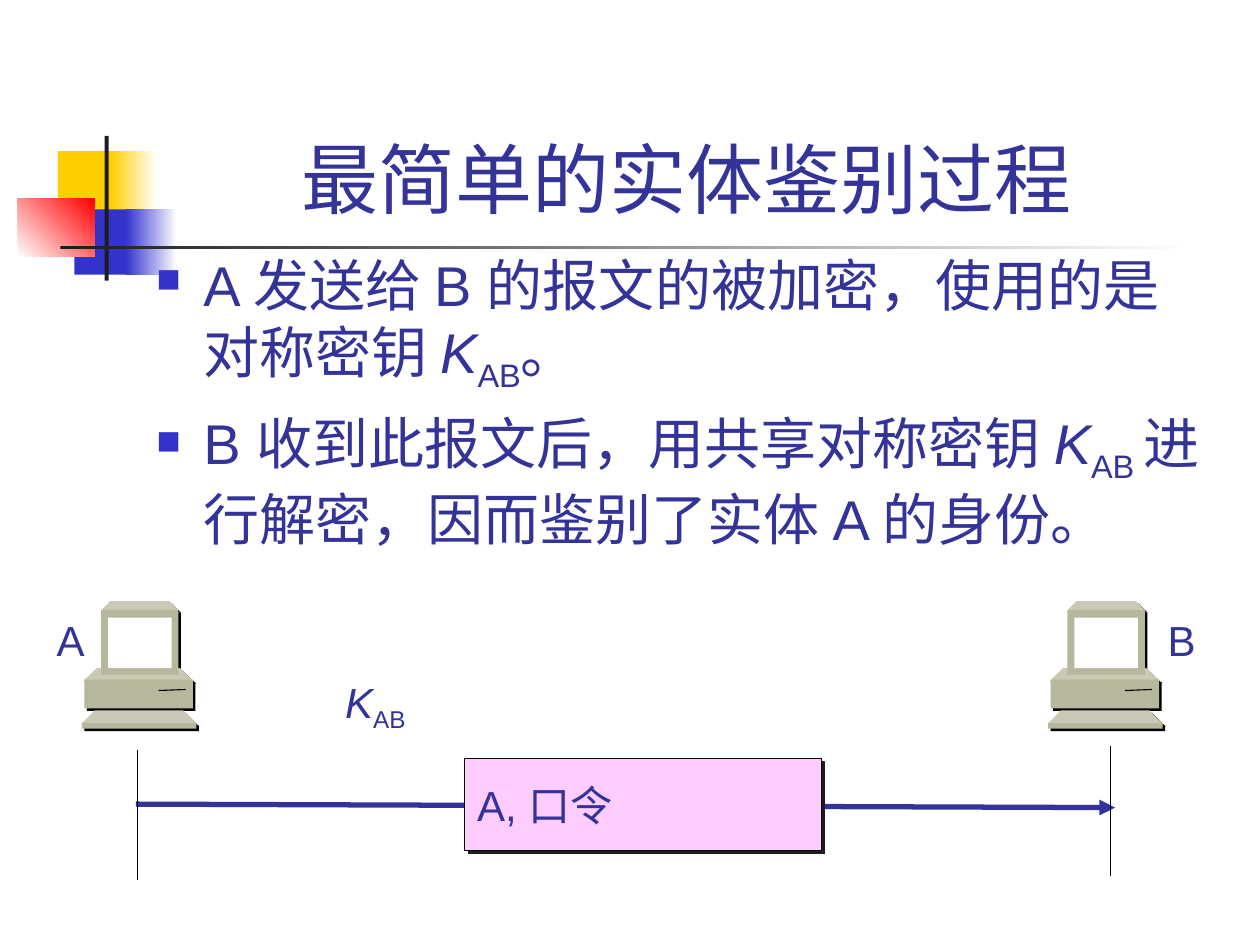
from lxml import etree
from pptx import Presentation
from pptx.dml.color import RGBColor
from pptx.enum.shapes import MSO_CONNECTOR, MSO_SHAPE
from pptx.enum.text import MSO_ANCHOR, MSO_AUTO_SIZE, PP_ALIGN
from pptx.oxml.ns import qn
from pptx.util import Cm, Pt

RECTANGLE = MSO_SHAPE.RECTANGLE
STRAIGHT = MSO_CONNECTOR.STRAIGHT
BOTTOM, MIDDLE = MSO_ANCHOR.BOTTOM, MSO_ANCHOR.MIDDLE
CENTER, LEFT = PP_ALIGN.CENTER, PP_ALIGN.LEFT
NO_AUTOFIT, GROW = MSO_AUTO_SIZE.NONE, MSO_AUTO_SIZE.SHAPE_TO_FIT_TEXT

FONT = "Arial"
INK, BLUE, BLACK, WHITE, CHARCOAL = "333399", "3333CC", "000000", "FFFFFF", "1C1C1C"
YELLOW, RED, PINK = "FFCF01", "FF0000", "FFCCFF"
LIGHT_CASE, DARK_CASE = "C9C9B6", "B7B79D"
KEY = [("K", "italic"), ("AB", "sub")]

# Left, top, width, height, first colour, last colour, angle
ORNAMENT = [
    (1.17, 3.05, 1.22, 1.32, YELLOW, None, 0),
    (2.24, 3.05, 0.91, 1.32, YELLOW, WHITE, 0),
    (1.5, 4.22, 1.17, 1.32, BLUE, None, 0),
    (2.54, 4.22, 1.02, 1.32, BLUE, WHITE, 0),
    (0.36, 4.01, 1.55, 1.17, WHITE, RED, 45),
    (2.11, 2.74, 0.08, 2.92, CHARCOAL, None, 0),
    (1.22, 4.95, 22.86, 0.08, CHARCOAL, WHITE, 0),
]

# Left, top, width, height, slant of the sides, colour
COMPUTER = [
    (0.05, 1.35, 2.22, 0.26, 0.27, LIGHT_CASE),
    (0.41, 0, 1.56, 0.18, 0.18, LIGHT_CASE),
    (0.41, 0.18, 1.56, 1.3, 0, DARK_CASE),
    (0.07, 1.58, 2.19, 0.58, 0, DARK_CASE),
    (0, 2.2, 2.34, 0.28, 0.28, LIGHT_CASE),
    (0.02, 2.46, 2.31, 0.11, 0, DARK_CASE),
]


def rgb(hex_color):
    """Return the colour for a hex string."""
    return RGBColor.from_string(hex_color)


def add_block(shapes, left, top, width, height, color, end_color=None, angle=0):
    """Add a borderless rectangle with a plain or gradient fill."""
    block = shapes.add_shape(RECTANGLE, Cm(left), Cm(top), Cm(width), Cm(height))
    block.shadow.inherit = False
    block.line.fill.background()
    if end_color:
        block.fill.gradient()
        block.fill.gradient_angle = angle
        for stop, stop_color in zip(block.fill.gradient_stops, (color, end_color)):
            stop.color.rgb = rgb(stop_color)
    else:
        block.fill.solid()
        block.fill.fore_color.rgb = rgb(color)
    return block


def add_slanted_top(shapes, left, top, width, height, slant, color):
    """Add a trapezoid that is narrower at the top."""
    right, bottom = left + width, top + height
    builder = shapes.build_freeform(Cm(left), Cm(bottom))
    corners = [(left + slant, top), (right - slant, top), (right, bottom)]
    builder.add_line_segments([(Cm(x), Cm(y)) for x, y in corners], close=True)
    surface = builder.convert_to_shape()
    surface.shadow.inherit = False
    surface.fill.solid()
    surface.fill.fore_color.rgb = rgb(color)
    surface.line.fill.background()


def add_line(shapes, start, end, color, width, arrow=False):
    """Add a straight line, with an arrowhead at its end if wanted."""
    points = [Cm(value) for value in (*start, *end)]
    line = shapes.add_connector(STRAIGHT, *points)
    line.line.color.rgb = rgb(color)
    line.line.width = Pt(width)
    if arrow:
        etree.SubElement(line.line._get_or_add_ln(), qn("a:tailEnd"), type="triangle")
    etree.SubElement(line._element.spPr, qn("a:effectLst"))


def add_runs(paragraph, pieces, size):
    """Add text pieces, each with a style of plain, italic or sub."""
    for text, style in pieces:
        run = paragraph.add_run()
        run.text = text
        run.font.name = FONT
        run.font.size = Pt(size)
        run.font.color.rgb = rgb(INK)
        run.font.italic = style == "italic"
        if style == "sub":
            run.font._element.set("baseline", "-25000")


def add_label(shapes, left, top, width, pieces):
    """Add a one-line label."""
    label = shapes.add_textbox(Cm(left), Cm(top), Cm(width), Cm(1.27))
    label.text_frame.word_wrap = False
    label.text_frame.auto_size = GROW
    add_runs(label.text_frame.paragraphs[0], pieces, 24)


def add_bullet(paragraph):
    """Give a paragraph a small square bullet and a hanging indent."""
    properties = paragraph._p.get_or_add_pPr()
    properties.set("marL", str(Cm(0.95)))
    properties.set("indent", str(-Cm(0.95)))
    bullet_color = etree.SubElement(properties, qn("a:buClr"))
    etree.SubElement(bullet_color, qn("a:srgbClr"), val=BLUE)
    etree.SubElement(properties, qn("a:buSzPct"), val="60000")
    etree.SubElement(properties, qn("a:buChar"), char="■")


def add_points(shapes, points):
    """Add the bulleted explanation."""
    body = shapes.add_textbox(Cm(2.9), Cm(4.93), Cm(21.59), Cm(11.43)).text_frame
    body.word_wrap = True
    for index, pieces in enumerate(points):
        paragraph = body.add_paragraph() if index else body.paragraphs[0]
        add_bullet(paragraph)
        if index:
            paragraph.space_before = Pt(8)
        add_runs(paragraph, pieces, 32)


def add_computer(shapes, left, top):
    """Add a grouped desktop computer over its black shadow."""
    parts = shapes.add_group_shape().shapes
    for offset, shade in ((0.05, BLACK), (0, None)):
        for x, y, width, height, slant, color in COMPUTER:
            place = (left + x + offset, top + y + offset, width, height)
            if slant:
                add_slanted_top(parts, *place, slant, shade or color)
            else:
                add_block(parts, *place, shade or color)
    add_block(parts, left + 0.55, top + 0.33, 1.28, 1.02, WHITE)
    add_line(parts, (left + 2.11, top + 1.78), (left + 1.57, top + 1.8), BLACK, 0.63)


def add_message(shapes):
    """Add the message box with its hard shadow."""
    message = add_block(shapes, 9.37, 15.29, 7.19, 1.85, PINK)
    message.line.color.rgb = rgb(BLACK)
    message.line.width = Pt(0.75)
    effects = message._element.spPr.find(qn("a:effectLst"))
    shadow = etree.SubElement(effects, qn("a:outerShdw"), dist=str(Pt(2.8)),
                              dir="2700000", algn="ctr", rotWithShape="0")
    etree.SubElement(shadow, qn("a:srgbClr"), val=CHARCOAL)
    message.text_frame.vertical_anchor = MIDDLE
    paragraph = message.text_frame.paragraphs[0]
    paragraph.alignment = LEFT
    add_runs(paragraph, [("A, 口令", "plain")], 24)


def set_title(title, text):
    """Place and format the slide title."""
    title.left, title.top, title.width, title.height = Cm(3.2), Cm(0.58), Cm(21.64), Cm(4.06)
    title.text_frame.vertical_anchor = BOTTOM
    title.text_frame.auto_size = NO_AUTOFIT
    paragraph = title.text_frame.paragraphs[0]
    paragraph.alignment = CENTER
    add_runs(paragraph, [(text, "plain")], 44)


def main():
    """Build the slide and save it."""
    deck = Presentation()
    deck.slide_width, deck.slide_height = Cm(25.4), Cm(19.05)
    slide = deck.slides.add_slide(deck.slide_layouts[5])
    shapes = slide.shapes
    for piece in ORNAMENT:
        add_block(shapes, *piece)
    set_title(shapes.title, "最简单的实体鉴别过程 ")
    add_points(shapes, [
        [("A 发送给 B 的报文的被加密，使用的是对称密钥 ", "plain"), *KEY, ("。", "plain")],
        [("B 收到此报文后，用共享对称密钥 ", "plain"), KEY[0], ("AB ", "sub"),
         ("进行解密，因而鉴别了实体 A 的身份。", "plain")],
    ])
    add_line(shapes, (2.74, 16.21), (22.48, 16.28), INK, 3, arrow=True)
    for name, label_left, computer_left in (("A", 0.89, 1.63), ("B", 23.29, 21.11)):
        add_label(shapes, label_left, 12.27, 1.08, [(name, "plain")])
        add_computer(shapes, computer_left, 12.12)
    for x, top in ((2.77, 15.11), (22.38, 15.04)):
        add_line(shapes, (x, top), (x, top + 2.62), BLACK, 0.75)
    add_message(shapes)
    add_label(shapes, 6.71, 13.51, 1.83, KEY)
    deck.save("out.pptx")


if __name__ == "__main__":
    main()
